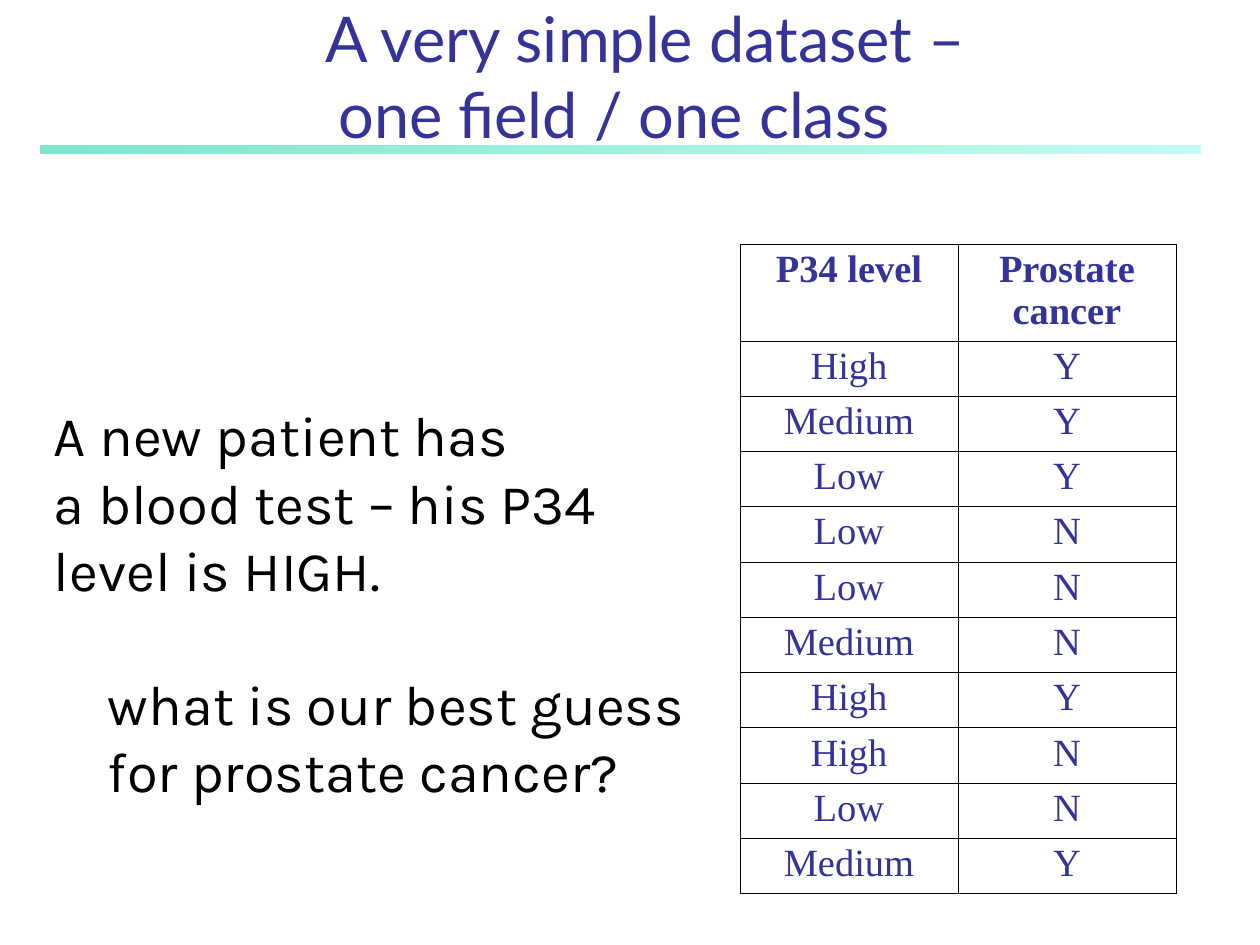
"""Build a slide on a simple dataset with one field and one class."""
import pptx
import pptx.dml.color
import pptx.enum.shapes
import pptx.enum.text
import pptx.oxml
import pptx.oxml.ns
import pptx.util

MID = pptx.enum.text.PP_ALIGN.CENTER
NS = pptx.oxml.ns.nsdecls("a")


def px(count):
    return pptx.util.Emu(round(count * 914400 / 126))


def style(para, face, size, hue, bold=False):
    para.font.name = face
    para.font.size = pptx.util.Pt(size)
    para.font.bold = bold
    para.font.color.rgb = pptx.dml.color.RGBColor.from_string(hue)


deck = pptx.Presentation()
deck.slide_width, deck.slide_height = px(1260), px(945)
slide = deck.slides.add_slide(deck.slide_layouts[5])

title = slide.shapes.title
title.left, title.top, title.width, title.height = px(47), px(0), px(1213), px(157)
frame = title.text_frame
frame.text = "A very simple dataset – \vone field / one class\t"
frame.vertical_anchor = pptx.enum.text.MSO_ANCHOR.BOTTOM
frame.auto_size = pptx.enum.text.MSO_AUTO_SIZE.NONE
para = frame.paragraphs[0]
para.alignment = MID
style(para, "Lato", 36, "333399")
tabs = f'<a:tabLst {NS}><a:tab pos="{px(630)}" algn="l"/></a:tabLst>'
para.font.fill.solid()
para.font.color.rgb = pptx.dml.color.RGBColor.from_string("333399")
para._p.pPr.find(pptx.oxml.ns.qn("a:defRPr")).addprevious(pptx.oxml.parse_xml(tabs))

bar = slide.shapes.add_shape(
    pptx.enum.shapes.MSO_SHAPE.RECTANGLE, px(41), px(146), px(1160), px(8))
bar.shadow.inherit = False
bar.line.fill.background()
bar.fill.gradient()
bar.fill.gradient_angle = 0
for stop, hue, alpha in zip(bar.fill.gradient_stops, ("00CE98", "8FF9EF"), (50, 52)):
    stop.color.rgb = pptx.dml.color.RGBColor.from_string(hue)
    tone = [mark for mark in bar.element.iter(pptx.oxml.ns.qn("a:srgbClr"))
            if mark.get("val") == hue][0]
    tone.append(pptx.oxml.parse_xml(f'<a:alpha {NS} val="{alpha * 1000}"/>'))
title.element.addprevious(bar.element)

rows = [("P34 level", "Prostate cancer"), ("High", "Y"), ("Medium", "Y"),
        ("Low", "Y"), ("Low", "N"), ("Low", "N"), ("Medium", "N"),
        ("High", "Y"), ("High", "N"), ("Low", "N"), ("Medium", "Y")]
table = slide.shapes.add_table(
    len(rows), 2, px(740), px(244), px(436), px(650)).table
table.first_row = table.horz_banding = False
for col in table.columns:
    col.width = px(218)
for r, row in enumerate(rows):
    table.rows[r].height = px(553) // 10 if r else px(97)
    for c, text in enumerate(row):
        cell = table.cell(r, c)
        cell.text = text
        cell.margin_top = cell.margin_bottom = px(4)
        para = cell.text_frame.paragraphs[0]
        para.alignment = MID
        style(para, "Times New Roman", 22, "333399", r == 0)
        for side in "LRTB":
            cell._tc.get_or_add_tcPr().append(pptx.oxml.parse_xml(
                f'<a:ln{side} {NS} w="5715"><a:solidFill><a:srgbClr val="000000"/>'
                f'</a:solidFill></a:ln{side}>'))
        cell.fill.solid()
        cell.fill.fore_color.rgb = pptx.dml.color.RGBColor.from_string("FFFFFF")

lines = [("A new patient has", 0, 0), ("a blood test – his P34", 0, 0),
         ("level is HIGH.", 0, 0), ("what is our best guess", 54, 67),
         ("for prostate cancer?", 54, 0)]
frame = slide.shapes.add_textbox(px(43), px(396), px(670), px(415)).text_frame
frame.word_wrap = True
frame.margin_left = frame.margin_right = px(11)
frame.margin_top = frame.margin_bottom = px(5)
frame.text = "\n".join(text for text, dent, gap in lines)
for para, (text, dent, gap) in zip(frame.paragraphs, lines):
    style(para, "Karla", 32, "000000")
    para.space_before = px(gap)
    para._p.get_or_add_pPr().set("marL", str(px(dent)))

deck.save("out.pptx")
